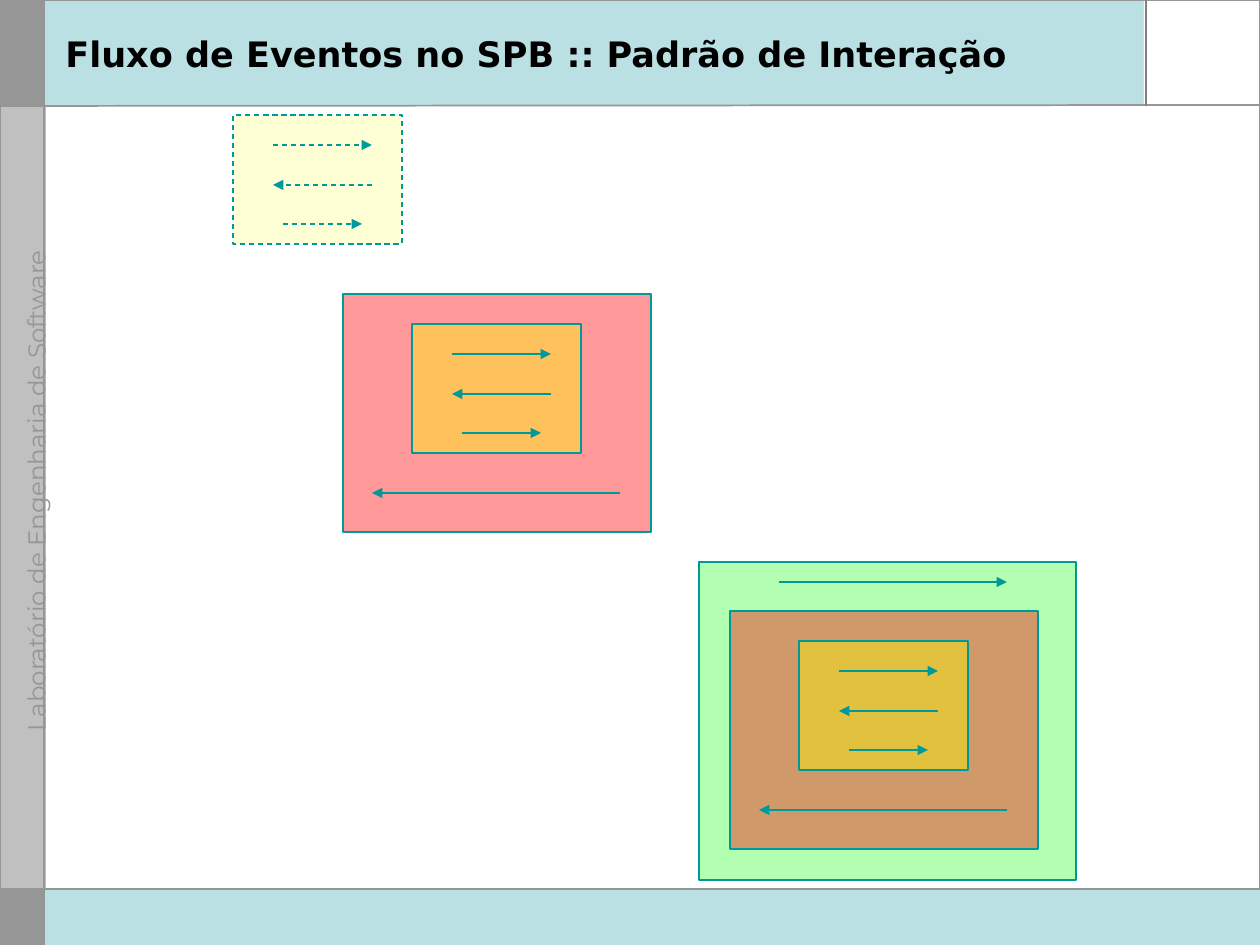
"""Build the slide on the interaction pattern of the SPB event flow."""
from dataclasses import dataclass

from lxml.etree import SubElement
from pptx import Presentation
from pptx.dml.color import RGBColor
from pptx.enum.dml import MSO_LINE
from pptx.enum.shapes import MSO_CONNECTOR, MSO_SHAPE
from pptx.enum.text import MSO_ANCHOR, PP_ALIGN
from pptx.oxml.ns import qn
from pptx.util import Emu, Pt


@dataclass(frozen=True)
class Theme:
    band: str = "BBE0E3"
    corner: str = "969696"
    sidebar: str = "C0C0C0"
    paper: str = "FFFFFF"
    divider: str = "808080"
    ink: str = "000000"
    stroke: str = "009999"
    optional: str = "FFFF99"
    inner: str = "FFFF00"
    middle: str = "FF0000"
    outer: str = "00FF00"
    title_font: str = "DejaVu Sans"
    lab_font: str = "Montserrat"
    title_size: int = 20
    lab_size: int = 14
    thin: float = 0.75
    rule: float = 1


class SlideBuilder:
    def __init__(self, theme, width, height):
        self.theme = theme
        self.deck = Presentation()
        self.deck.slide_width = self.px(width)
        self.deck.slide_height = self.px(height)
        self.slide = self.deck.slides.add_slide(self.deck.slide_layouts[6])
        self.shapes = self.slide.shapes

    @staticmethod
    def px(length):
        return Emu(round(length * 914400 / 126))

    @staticmethod
    def apply(target, values):
        for name, value in values.items():
            setattr(target, name, value)

    def stroke(self, line, color, width, dash):
        line.color.rgb = RGBColor.from_string(color)
        self.apply(line, {"width": Pt(width)} | ({"dash_style": dash} if dash else {}))

    def box(self, left, top, width, height, fill=None, line=None, weight=0.75,
            alpha=None, dash=None):
        panel = self.shapes.add_shape(
            MSO_SHAPE.RECTANGLE, *map(self.px, (left, top, width, height)))
        panel.shadow.inherit = False
        if fill:
            panel.fill.solid()
            panel.fill.fore_color.rgb = RGBColor.from_string(fill)
        else:
            panel.fill.background()
        if alpha:
            tint = panel.fill._xPr.find(qn("a:solidFill"))[0]
            SubElement(tint, qn("a:alpha"), val=str(alpha * 1000))
        if line:
            self.stroke(panel.line, line, weight, dash)
        else:
            panel.line.fill.background()

    def line(self, start, end, color, weight, dash=None, arrow=False):
        link = self.shapes.add_connector(
            MSO_CONNECTOR.STRAIGHT, *map(self.px, (*start, *end)))
        self.stroke(link.line, color, weight, dash)
        if arrow:
            SubElement(link.line._get_or_add_ln(), qn("a:tailEnd"), type="triangle")
        SubElement(link._element.spPr, qn("a:effectLst"))

    def arrow(self, start_x, end_x, y, dash=None):
        self.line((start_x, y), (end_x, y), self.theme.stroke, self.theme.thin,
                  dash, arrow=True)

    def text(self, left, top, width, height, wording, font, frame, align, rotation=0):
        label = self.shapes.add_textbox(*map(self.px, (left, top, width, height)))
        label.rotation = rotation
        self.apply(label.text_frame, frame)
        paragraph = label.text_frame.paragraphs[0]
        paragraph.alignment = align
        run = paragraph.add_run()
        run.text = wording
        color = font.pop("color")
        self.apply(run.font, font)
        run.font.color.rgb = RGBColor.from_string(color)

    def exchange(self, left, top, fill, dash=None):
        self.box(left, top, 169, 129, fill, self.theme.stroke, alpha=40, dash=dash)
        for start, end, drop in ((40, 139, 30), (139, 40, 70), (50, 129, 109)):
            self.arrow(left + start, left + end, top + drop, dash)

    def confirmed_exchange(self, left, top):
        self.box(left, top, 308, 238, self.theme.middle, self.theme.stroke, alpha=40)
        self.exchange(left + 69, top + 30, self.theme.inner)
        self.arrow(left + 277, left + 29, top + 199)

    def group(self, draw, *args):
        self.shapes = self.slide.shapes.add_group_shape().shapes
        draw(*args)
        self.shapes = self.slide.shapes

    def background(self):
        theme = self.theme
        gray = theme.corner
        self.box(1, 0, 44, 195, gray, gray)
        self.line((1260, 889), (0, 889), gray, theme.rule)
        self.box(44, 0, 1216, 105, theme.band)
        self.box(1, 106, 44, 808, theme.sidebar, theme.sidebar)
        self.box(1144, 0, 116, 105, theme.paper)
        self.text(-294, 481, 638, 20, "Laboratório de Engenharia de Software",
                  {"name": theme.lab_font, "size": Pt(theme.lab_size), "color": gray},
                  {"word_wrap": False}, PP_ALIGN.CENTER, 270)
        self.line((0, 106), (1260, 105), gray, theme.rule)
        self.box(1, 889, 42, 55, gray, gray)
        self.box(0, 0, 1260, 945, line=gray, weight=theme.rule)
        self.box(44, 889, 1216, 56, theme.band)
        self.line((4, 889), (1260, 889), gray, theme.rule)
        self.line((1146, 106), (1146, 0), theme.divider, theme.thin)
        self.line((44, 0), (44, 945), gray, theme.rule)

    def title(self, wording):
        self.text(53, 15, 1081, 78, wording,
                  {"name": self.theme.title_font, "size": Pt(self.theme.title_size),
                   "bold": True, "color": self.theme.ink},
                  {"word_wrap": True, "vertical_anchor": MSO_ANCHOR.MIDDLE},
                  PP_ALIGN.LEFT)


def main():
    theme = Theme()
    page = SlideBuilder(theme, 1260, 945)
    page.background()
    page.box(699, 562, 377, 318, theme.outer, theme.stroke, alpha=30)
    page.title("Fluxo de Eventos no SPB :: Padrão de Interação")
    page.group(page.exchange, 233, 115, theme.optional, MSO_LINE.DASH)
    page.group(page.confirmed_exchange, 343, 294)
    page.arrow(779, 1007, 582)
    page.group(page.confirmed_exchange, 730, 611)
    page.deck.save("out.pptx")


if __name__ == "__main__":
    main()
